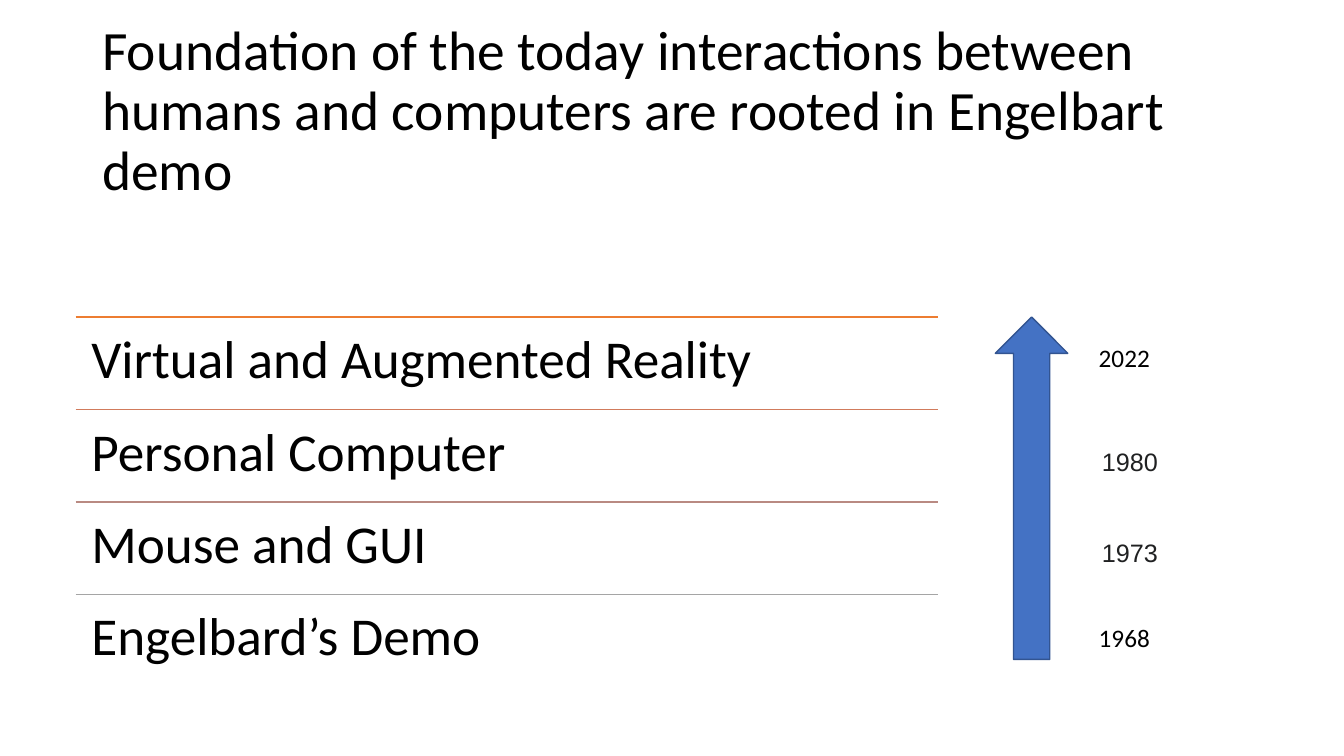
from dataclasses import dataclass

from lxml import etree
from pptx import Presentation
from pptx import util as u
from pptx.dml.color import RGBColor
from pptx.enum import shapes, text
from pptx.oxml import ns

PX = 9525
BLACK = RGBColor(0x00, 0x00, 0x00)
INK = RGBColor(0x20, 0x21, 0x22)
BLUE = RGBColor(0x44, 0x72, 0xC4)
NAVY = RGBColor(0x32, 0x54, 0x91)
ORANGE = RGBColor(0xED, 0x7D, 0x31)
RUST = RGBColor(0xD1, 0x7B, 0x5C)
ROSE = RGBColor(0xB9, 0x8A, 0x82)
GRAY = RGBColor(0xA5, 0xA5, 0xA5)

LEFT, TOP, WIDTH, STEP = 72, 302, 821, 88


@dataclass
class Stage:
    label: str
    color: RGBColor


@dataclass
class Year:
    label: str
    left: int
    top: int
    font: str
    color: RGBColor


STAGES = [
    Stage("Virtual and Augmented Reality", ORANGE),
    Stage("Personal Computer", RUST),
    Stage("Mouse and GUI", ROSE),
    Stage("Engelbard’s Demo", GRAY),
]

YEARS = [
    Year("2022", 1037, 321, "Calibri", BLACK),
    Year("1980", 1040, 420, "Arial", INK),
    Year("1973", 1040, 507, "Arial", INK),
    Year("1968", 1037, 588, "Calibri", BLACK),
]


def px(count: int) -> int:
    return u.Emu(count * PX)


def write(slide, words: str, left: int, top: int, width: int, height: int, *,
          size: float, font: str = "Calibri", color: RGBColor = BLACK,
          space: float = 1.0, wrap: bool = True, pad: int | None = None,
          anchor=text.MSO_ANCHOR.TOP) -> None:
    box = slide.shapes.add_textbox(px(left), px(top), px(width), px(height))
    frame = box.text_frame
    frame.word_wrap = wrap
    if not wrap:
        frame.auto_size = text.MSO_AUTO_SIZE.SHAPE_TO_FIT_TEXT
    frame.vertical_anchor = anchor
    if pad is not None:
        frame.margin_left = frame.margin_right = px(pad)
        frame.margin_top = frame.margin_bottom = px(pad)
    para = frame.paragraphs[0]
    para.line_spacing = space
    run = para.add_run()
    run.text = words
    run.font.size = u.Pt(size)
    run.font.name = font
    run.font.color.rgb = color


def draw_stage(slide, stage: Stage, top: int) -> None:
    rule = slide.shapes.add_connector(
        shapes.MSO_CONNECTOR.STRAIGHT,
        px(LEFT), px(top), px(LEFT + WIDTH), px(top))
    rule.line.color.rgb = stage.color
    rule.line.width = u.Pt(1)
    etree.SubElement(rule._element.spPr, ns.qn("a:effectLst"))
    write(slide, stage.label, LEFT, top, WIDTH, STEP,
          size=38, space=0.9, pad=15)


def draw_arrow(slide) -> None:
    arrow = slide.shapes.add_shape(
        shapes.MSO_SHAPE.UP_ARROW, px(948), px(TOP), px(69), px(326))
    arrow.shadow.inherit = False
    arrow.fill.solid()
    arrow.fill.fore_color.rgb = BLUE
    arrow.line.color.rgb = NAVY
    arrow.line.width = u.Pt(1)


def draw_year(slide, year: Year) -> None:
    write(slide, year.label, year.left, year.top, 73, 38,
          size=18, font=year.font, color=year.color, wrap=False)


def main() -> None:
    deck = Presentation()
    deck.slide_width, deck.slide_height = px(1280), px(720)
    slide = deck.slides.add_slide(deck.slide_layouts[6])
    write(slide, "Foundation of the today interactions between humans and "
          "computers are rooted in Engelbart demo", 88, 38, 1104, 139,
          size=39.6, space=0.9, anchor=text.MSO_ANCHOR.MIDDLE)
    for row, stage in enumerate(STAGES):
        draw_stage(slide, stage, TOP + row * STEP)
    draw_arrow(slide)
    for year in YEARS:
        draw_year(slide, year)
    deck.save("out.pptx")


if __name__ == "__main__":
    main()
